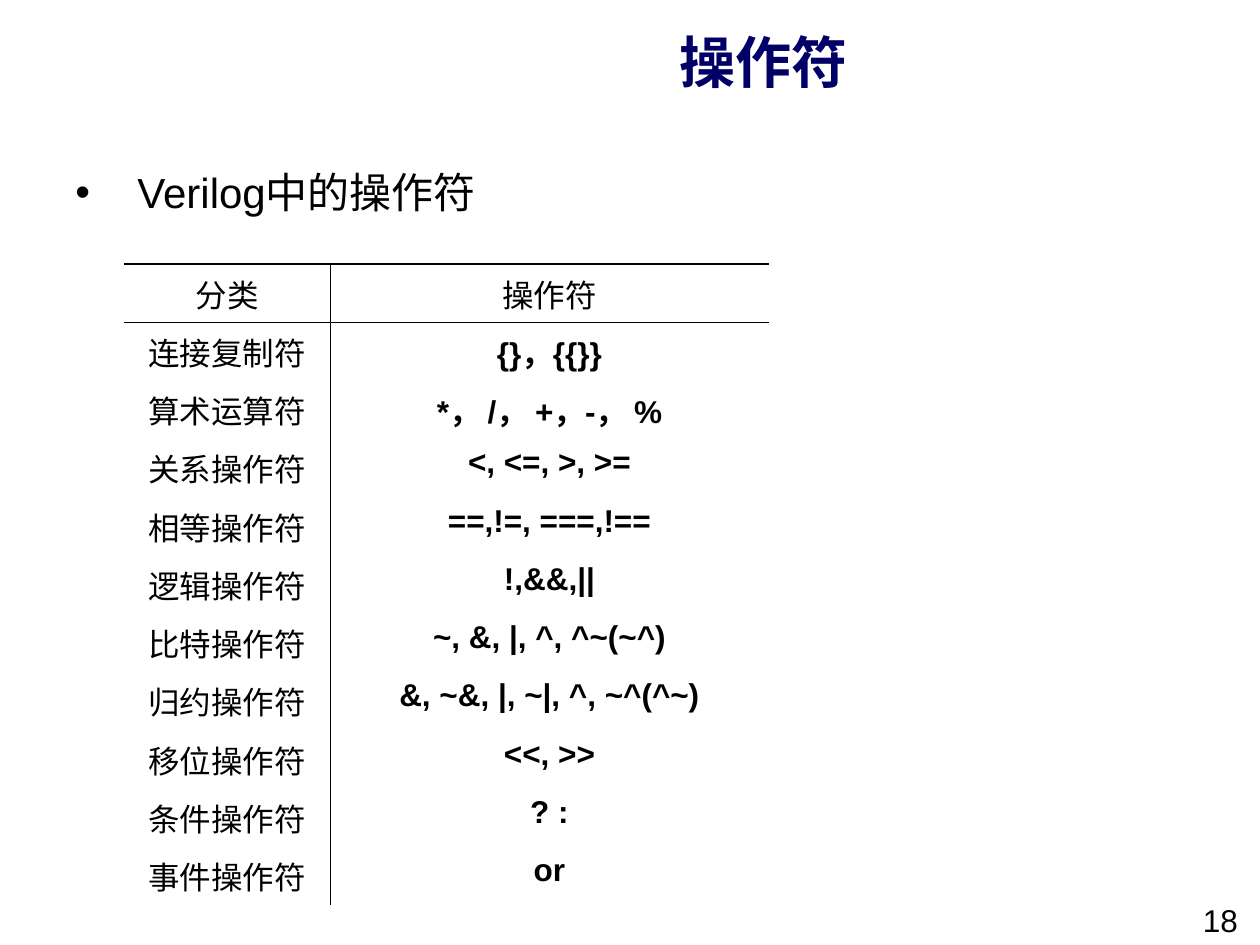
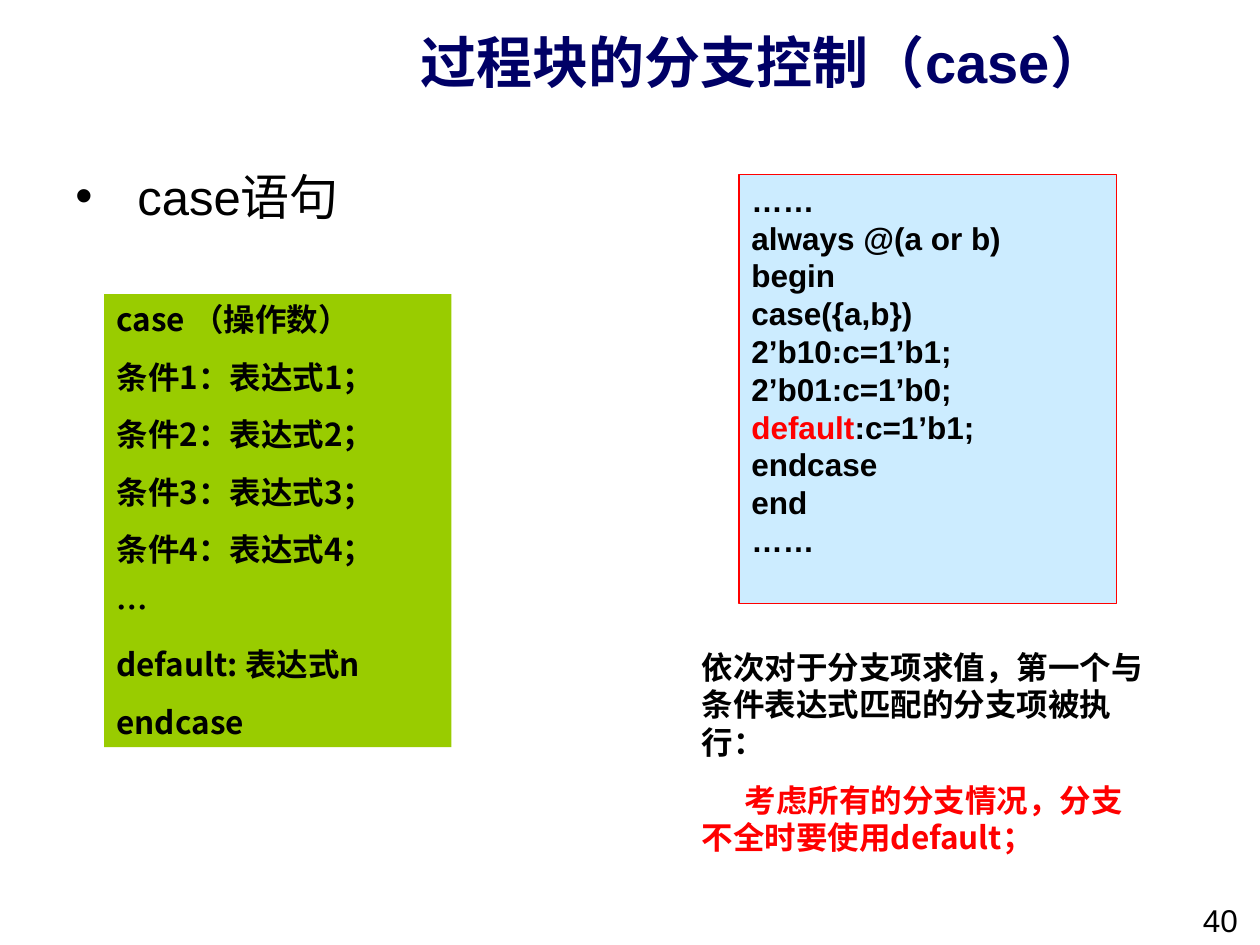
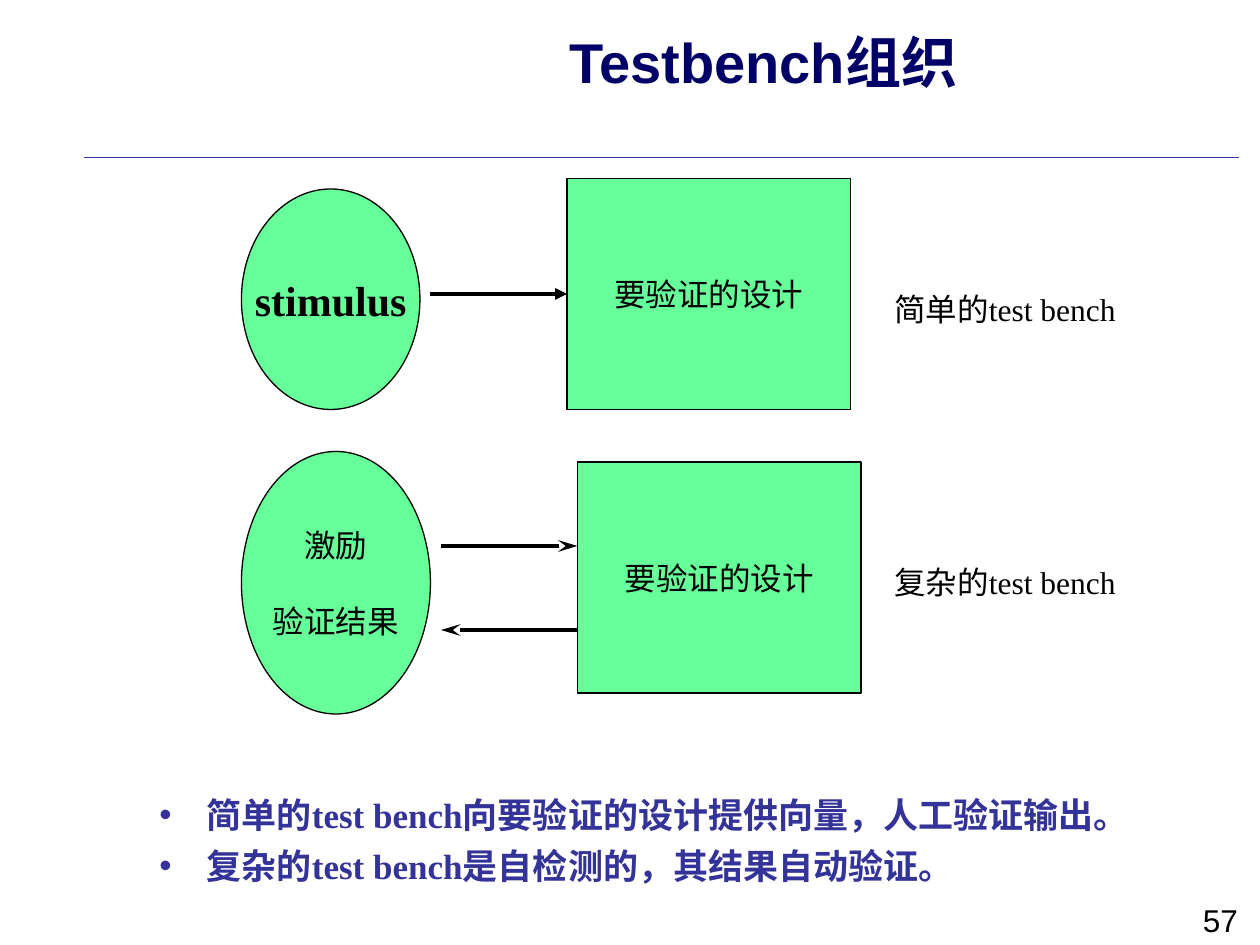
"""Build three Verilog lecture slides: operators, the case statement and test benches."""
from copy import deepcopy
from dataclasses import dataclass

from lxml import etree
from pptx import Presentation
from pptx.dml.color import RGBColor
from pptx.enum.shapes import MSO_CONNECTOR, MSO_SHAPE
from pptx.enum.text import MSO_ANCHOR, PP_ALIGN
from pptx.oxml.ns import qn
from pptx.util import Pt

LEFT, CENTER, JUSTIFY = PP_ALIGN.LEFT, PP_ALIGN.CENTER, PP_ALIGN.JUSTIFY
TOP, MIDDLE = MSO_ANCHOR.TOP, MSO_ANCHOR.MIDDLE
RECTANGLE, OVAL = MSO_SHAPE.RECTANGLE, MSO_SHAPE.OVAL
STRAIGHT = MSO_CONNECTOR.STRAIGHT


@dataclass(frozen=True)
class Theme:
    ink: str = "000000"
    title: str = "000066"
    accent: str = "333399"
    alert: str = "FF0000"
    syntax_fill: str = "99CC00"
    code_fill: str = "CCECFF"
    node_fill: str = "66FF99"
    sans: str = "Arial"
    serif: str = "Times New Roman"
    chinese: str = "Noto Sans CJK SC"
    title_size: int = 32
    topic_size: int = 28
    lead_size: int = 24
    note_size: int = 20
    text_size: int = 18
    pitch: float = 1.2
    thin: float = 0.75
    arrow: float = 2.25


theme = Theme()


def write(frame, lines, size=theme.text_size, color=theme.ink, font=theme.sans,
          bold=False, align=LEFT, pitch=None, gap=0, bullet_indent=0):
    frame.text = "\n".join(lines)
    for index, para in enumerate(frame.paragraphs):
        props = para._p.get_or_add_pPr()
        props.set("hangingPunct", "0")
        if bullet_indent:
            props.set("marL", str(Pt(bullet_indent)))
            props.set("indent", str(-Pt(bullet_indent)))
            tint = etree.SubElement(props, qn("a:buClr"))
            etree.SubElement(tint, qn("a:srgbClr"), val=color)
            etree.SubElement(props, qn("a:buFont"), typeface=theme.sans)
            etree.SubElement(props, qn("a:buChar"), char="•")
        para.alignment = align
        if pitch:
            para.line_spacing = Pt(size * pitch)
        if index and gap:
            para.space_before = Pt(gap)
        for span in para.runs:
            span.font.size = Pt(size)
            span.font.bold = bold
            span.font.name = font
            span.font.color.rgb = RGBColor.from_string(color)
            east_asian = etree.Element(qn("a:ea"), typeface=theme.chinese)
            span.font._element.find(qn("a:latin")).addnext(east_asian)


def place(page, at, kind=None, fill=None, line=None, anchor=TOP, wrap=True):
    lengths = [Pt(value) for value in at]
    if kind is None:
        box = page.shapes.add_textbox(*lengths)
    else:
        box = page.shapes.add_shape(kind, *lengths)
        box.shadow.inherit = False
        box.fill.solid()
        box.fill.fore_color.rgb = RGBColor.from_string(fill)
        if line:
            box.line.color.rgb = RGBColor.from_string(line)
            box.line.width = Pt(theme.thin)
        else:
            box.line.fill.background()
    box.text_frame.word_wrap = wrap
    box.text_frame.vertical_anchor = anchor
    return box


deck = Presentation()
deck.slide_width, deck.slide_height = Pt(720), Pt(540)

pages = []
for heading, number in (("操作符", "18"), ("过程块的分支控制（case）", "40"), ("Testbench组织", "57")):
    page = deck.slides.add_slide(deck.slide_layouts[6])
    title = place(page, (178.5, 5, 515.5, 60), anchor=MIDDLE)
    write(title.text_frame, [heading], theme.title_size, theme.title, bold=True, align=CENTER)
    footer = place(page, (680.25, 511.5, 39.75, 28.5))
    write(footer.text_frame, [number])
    pages.append(page)
operator_page, case_page, bench_page = pages

for page, topic, size, width in (
    (operator_page, "Verilog中的操作符", theme.lead_size, 318),
    (case_page, "case语句", theme.topic_size, 648),
):
    body = place(page, (36, 91.5, width, 400))
    write(body.text_frame, [topic], size, pitch=theme.pitch, bullet_indent=35.5)

operators = [
    ("分类", "操作符"),
    ("连接复制符", "{}，{{}}"),
    ("算术运算符", "*， /， +，-， %"),
    ("关系操作符", "<, <=, >, >="),
    ("相等操作符", "==,!=, ===,!=="),
    ("逻辑操作符", "!,&&,||"),
    ("比特操作符", "~, &, |, ^, ^~(~^)"),
    ("归约操作符", "&, ~&, |, ~|, ^, ~^(^~)"),
    ("移位操作符", "<<, >>"),
    ("条件操作符", "? :"),
    ("事件操作符", "or"),
]
row_height = 33.28
table = operator_page.shapes.add_table(
    len(operators), 2, Pt(70.75), Pt(151), Pt(368.5), Pt(row_height * len(operators))).table
table.first_row = table.horz_banding = False
for column, width in zip(table.columns, (118, 250.5)):
    column.width = Pt(width)
for row, labels in enumerate(operators):
    table.rows[row].height = Pt(row_height)
    for col, label in enumerate(labels):
        cell = table.cell(row, col)
        write(cell.text_frame, [label], bold=row > 0 and col == 1, align=CENTER)
        widths = {
            "L": 0.45 if col == 1 else 0,
            "R": 0.45 if col == 0 else 0,
            "T": 1.08 if row < 2 else 0,
            "B": 1.08 if row == 0 else 0,
        }
        for side, width in widths.items():
            edge = etree.SubElement(cell._tc.get_or_add_tcPr(), qn(f"a:ln{side}"), w=str(Pt(width)))
            if width:
                paint = etree.SubElement(edge, qn("a:solidFill"))
                etree.SubElement(paint, qn("a:srgbClr"), val=theme.ink)
            else:
                etree.SubElement(edge, qn("a:noFill"))
        cell.fill.background()

syntax = place(case_page, (59.5, 168, 198.5, 259), RECTANGLE, theme.syntax_fill)
branches = [f"条件{number}：表达式{number}；" for number in range(1, 5)]
write(syntax.text_frame, ["case （操作数）", *branches, "…", "default: 表达式n", "endcase"],
      font=theme.chinese, bold=True, pitch=theme.pitch, gap=11.25)

advice = place(case_page, (394, 366.5, 272, 105))
write(advice.text_frame,
      ["依次对于分支项求值，第一个与条件表达式匹配的分支项被执行：",
       "考虑所有的分支情况，分支不全时要使用default；"],
      font=theme.chinese, bold=True, pitch=theme.pitch, gap=11.25)
warning = advice.text_frame.paragraphs[1]
warning._p.get_or_add_pPr().set("indent", str(Pt(24.5)))
warning.runs[0].font.color.rgb = RGBColor.from_string(theme.alert)

code = place(case_page, (422.25, 99.75, 215.75, 245), RECTANGLE, theme.code_fill, theme.alert)
code_lines = ["……", "always @(a or b)", "begin", "case({a,b})", "2’b10:c=1’b1;", "2’b01:c=1’b0;",
              "default:c=1’b1;", "endcase", "end", "……"]
write(code.text_frame, code_lines, bold=True, pitch=theme.pitch)
default_line = code.text_frame.paragraphs[code_lines.index("default:c=1’b1;")]
keyword = default_line.runs[0]
keyword._r.addnext(deepcopy(keyword._r))
keyword.text, default_line.runs[1].text = "default", ":c=1’b1;"
keyword.font.color.rgb = RGBColor.from_string(theme.alert)

nodes = []
for kind, at, lines, size, bold, pitch, gap in (
    (OVAL, (138, 108, 102, 126), ["stimulus"], theme.lead_size, True, None, 0),
    (RECTANGLE, (324, 102, 162, 132), ["要验证的设计"], theme.text_size, False, None, 0),
    (OVAL, (138, 258, 108, 150), ["激励", "验证结果"], theme.text_size, False, theme.pitch, 21.6),
    (RECTANGLE, (330, 264, 162, 132), ["要验证的设计"], theme.text_size, False, None, 0),
):
    node = place(bench_page, at, kind, theme.node_fill, theme.ink, MIDDLE, wrap=False)
    write(node.text_frame, lines, size, font=theme.serif, bold=bold, align=CENTER,
          pitch=pitch, gap=gap)
    nodes.append(node)
simple_design = nodes[1]

for start, end, y, color, weight, head, target in (
    (48, 708, 90, theme.accent, theme.thin, None, None),
    (246, 324, 168, theme.ink, theme.arrow, ("triangle", "med"), simple_design),
    (252, 330, 312, theme.ink, theme.arrow, ("stealth", "lg"), None),
    (330, 252, 360, theme.ink, theme.arrow, ("stealth", "lg"), None),
):
    link = bench_page.shapes.add_connector(STRAIGHT, Pt(start), Pt(y), Pt(end), Pt(y))
    link.line.color.rgb = RGBColor.from_string(color)
    link.line.width = Pt(weight)
    if head:
        tip, length = head
        etree.SubElement(link.line._get_or_add_ln(), qn("a:tailEnd"), type=tip, len=length)
    etree.SubElement(link._element.spPr, qn("a:effectLst"))
    if target:
        link.end_connect(target, 1)

for top, caption in ((162, "简单的test bench"), (318, "复杂的test bench")):
    label = place(bench_page, (504, top, 192, 29))
    write(label.text_frame, [caption], font=theme.serif, pitch=theme.pitch)

summary = place(bench_page, (84, 450, 588, 72))
write(summary.text_frame,
      ["简单的test bench向要验证的设计提供向量，人工验证输出。",
       "复杂的test bench是自检测的，其结果自动验证。"],
      theme.note_size, theme.accent, theme.serif, True, JUSTIFY, theme.pitch, 5, 27)

deck.save("out.pptx")
